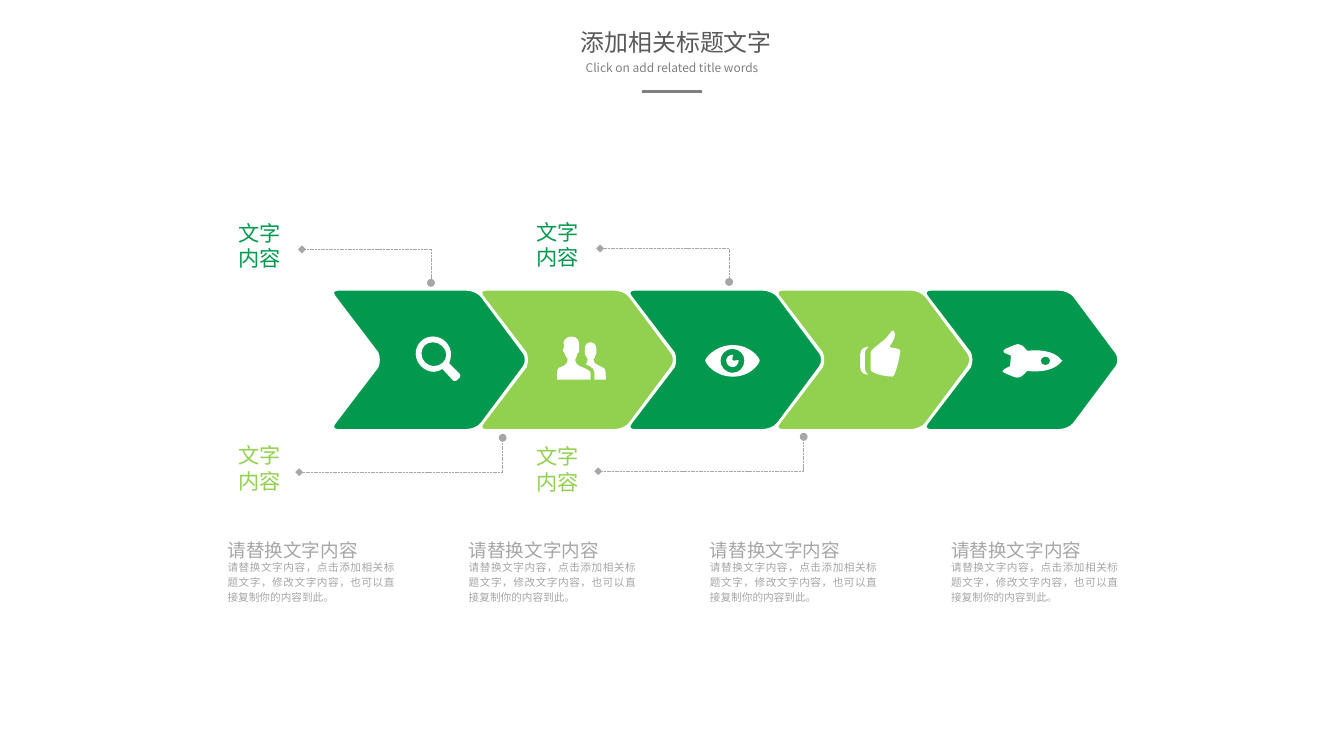
from dataclasses import dataclass

from lxml import etree
from pptx import Presentation
from pptx.dml.color import RGBColor
from pptx.enum.dml import MSO_LINE
from pptx.enum.shapes import MSO_CONNECTOR
from pptx.enum.text import MSO_ANCHOR, PP_ALIGN
from pptx.oxml.ns import qn
from pptx.util import Pt

CENTER, JUSTIFY = PP_ALIGN.CENTER, PP_ALIGN.JUSTIFY
TOP = MSO_ANCHOR.TOP
STRAIGHT = MSO_CONNECTOR.STRAIGHT
DASHED = MSO_LINE.SQUARE_DOT
TITLE_ONLY = 5


@dataclass(frozen=True)
class Theme:
    green: RGBColor = RGBColor(0x02, 0x99, 0x4F)
    lime: RGBColor = RGBColor(0x92, 0xD0, 0x50)
    white: RGBColor = RGBColor(0xFF, 0xFF, 0xFF)
    dark: RGBColor = RGBColor(0x59, 0x59, 0x59)
    gray: RGBColor = RGBColor(0x80, 0x80, 0x80)
    light: RGBColor = RGBColor(0xA6, 0xA6, 0xA6)
    title_font: str = "Noto Sans CJK SC"
    body_font: str = "Arial"
    title_size: float = 18
    subtitle_size: float = 9
    label_size: float = 16
    heading_size: float = 14
    detail_size: float = 8


THEME = Theme()

# Outlines: two numbers are a corner, six are a Bézier curve.
CHEVRON = [[
    (113, 100.8), (110.9, 103.7, 105.8, 105.8, 101.5, 105.8),
    (5, 105.8), (1.4, 105.8, 0, 103.7, 2.2, 100.8),
    (34.6, 58.3), (36, 55.4, 36, 50.4, 34.6, 47.5),
    (2.2, 5), (0, 2.2, 1.4, 0, 5, 0),
    (101.5, 0), (105.8, 0, 110.9, 2.2, 113, 5),
    (144.7, 47.5), (146.9, 50.4, 146.9, 55.4, 144.7, 58.3)]]
MAGNIFIER = [
    [(46, 39), (35, 28), (36, 25, 37, 22, 37, 19), (37, 9, 29, 0, 18, 0),
     (8, 0, 0, 8, 0, 18), (0, 28, 9, 37, 19, 37), (22, 37, 25, 36, 28, 34),
     (39, 46), (40, 47, 42, 47, 43, 46), (46, 43), (47, 42, 47, 40, 46, 39)],
    [(6, 18), (6, 11, 11, 6, 18, 6), (25, 6, 32, 12, 32, 19),
     (32, 26, 26, 31, 19, 31), (12, 31, 6, 25, 6, 18)]]
PEOPLE = [
    [(51, 45), (51, 45, 51, 35, 50, 34), (49, 33, 47, 32, 43, 30),
     (40, 29, 38, 27, 38, 24), (38, 23, 40, 23, 40, 20),
     (40, 19, 41, 20, 41, 17), (41, 12), (41, 11, 40, 6, 35, 6),
     (30, 6, 29, 11, 29, 12), (29, 17), (29, 20, 30, 19, 30, 20),
     (31, 23, 32, 23, 32, 24), (32, 26, 31, 28, 30, 29),
     (38, 33, 39, 34, 39, 37), (39, 45)],
    [(26, 32), (21, 30, 19, 28, 19, 24), (19, 22, 21, 22, 21, 18),
     (22, 16, 23, 18, 23, 14), (23, 8), (23, 6, 22, 0, 15, 0),
     (8, 0, 6, 6, 7, 8), (7, 12), (6, 14), (7, 18, 8, 16, 8, 18),
     (9, 22, 11, 22, 11, 24), (11, 28, 9, 30, 4, 32), (2, 32, 0, 33, 0, 36),
     (0, 45), (35, 45), (35, 38), (35, 36, 31, 34, 26, 32)]]
EYE = [
    [(29, 0), (10, 0, 0, 14, 0, 16), (0, 19, 10, 33, 29, 33),
     (48, 33, 57, 19, 57, 16), (57, 14, 48, 0, 29, 0)],
    [(29, 29), (21, 29, 16, 23, 16, 16), (16, 10, 21, 4, 29, 4),
     (36, 4, 41, 10, 41, 16), (41, 23, 36, 29, 29, 29)],
    [(29, 16), (27, 15, 30, 10, 29, 10), (25, 10, 22, 13, 22, 16),
     (22, 20, 25, 23, 29, 23), (32, 23, 35, 20, 35, 16),
     (35, 15, 30, 17, 29, 16)]]
THUMB = [
    [(31, 19), (30, 18, 40, 9, 35, 2), (33, 0, 29, 10, 22, 14),
     (19, 17, 11, 22, 11, 25), (11, 43), (11, 46, 24, 50, 34, 50),
     (37, 50, 42, 27, 42, 23), (42, 20, 31, 20, 31, 19)],
    [(8, 19), (6, 19, 0, 20, 0, 27), (0, 40), (0, 47, 6, 48, 8, 48),
     (10, 48, 5, 47, 5, 42), (5, 25), (5, 21, 10, 19, 8, 19)]]
ROCKET = [
    [(26, 31), (26, 31, 51, 35, 62, 21), (63, 20), (62, 20),
     (52, 6, 26, 10, 26, 10), (18, 0, 17, 2, 3, 8), (0, 9, 1, 11, 2, 12),
     (4, 13, 9, 15, 9, 15), (8, 26), (8, 26, 4, 28, 2, 29),
     (0, 30, -1, 32, 2, 33), (16, 39, 17, 41, 26, 31)],
    [(40, 20), (40, 18, 43, 16, 45, 16), (48, 16, 50, 18, 50, 20),
     (50, 23, 48, 25, 45, 25), (42, 25, 40, 23, 40, 20)]]
ICON_SCALE = 0.72
# Each icon with its offset from the top left of its chevron.
STEPS = [(MAGNIFIER, 63.4, 35.3), (PEOPLE, 58.3, 35.3), (EYE, 58.3, 41.8),
         (THUMB, 63.4, 29.5), (ROCKET, 59, 38.9)]


def bend_segments(shape, contours):
    """Merge the three lines through each curve's control points into one curve."""
    outline = next(shape._element.iter(qn("a:path")))
    nodes = iter(list(outline))
    for contour in contours:
        for segment in contour:
            first, *others = [next(nodes) for _ in range(len(segment) // 2)]
            if others:
                first.tag = qn("a:cubicBezTo")
            for other in others:
                first.append(other[0])
                outline.remove(other)
        next(nodes)  # the closing node


def add_outline(slide, contours, left, top, color, scale=1.0):
    builder = None
    for contour in contours:
        points = [(Pt(left + segment[i] * scale), Pt(top + segment[i + 1] * scale))
                  for segment in contour for i in range(0, len(segment), 2)]
        if builder is None:
            builder = slide.shapes.build_freeform(*points[0])
        else:
            builder.move_to(*points[0])
        builder.add_line_segments(points[1:], close=True)
    shape = builder.convert_to_shape()
    bend_segments(shape, contours)
    shape.shadow.inherit = False
    shape.fill.solid()
    shape.fill.fore_color.rgb = color
    shape.line.fill.background()
    return shape


def add_line(slide, start, end, color, width):
    line = slide.shapes.add_connector(STRAIGHT, *(Pt(value) for value in start + end))
    line.line.color.rgb = color
    line.line.width = Pt(width)
    etree.SubElement(line._element.spPr, qn("a:effectLst"))
    return line


def write_text(shape, text, size, color, font, align, inset=(0, 0), spacing=None):
    frame = shape.text_frame
    frame.word_wrap = True
    frame.vertical_anchor = TOP
    frame.margin_left = frame.margin_right = Pt(inset[0])
    frame.margin_top = frame.margin_bottom = Pt(inset[1])
    frame.text = text
    paragraph = frame.paragraphs[0]
    paragraph.alignment = align
    paragraph.line_spacing = spacing
    paragraph.font.name = font
    paragraph.font.size = Pt(size)
    paragraph.font.color.rgb = color


def add_text(slide, box, *style, **layout):
    shape = slide.shapes.add_textbox(*(Pt(value) for value in box))
    write_text(shape, *style, **layout)


def add_header(slide, left, top):
    title = slide.shapes.title
    title.left, title.top, title.width, title.height = Pt(left), Pt(top), Pt(176.4), Pt(28.8)
    inset = (5.3, 2.7)
    write_text(title, "添加相关标题文字", THEME.title_size, THEME.dark,
               THEME.title_font, CENTER, inset=inset)
    add_text(slide, (left, top + 25.2, 170, 16.6), "Click on add related title words",
             THEME.subtitle_size, THEME.gray, THEME.title_font, CENTER, inset=inset)
    add_line(slide, (left + 62.6, top + 51.1), (left + 108, top + 51.1), THEME.gray, 2.25)


def add_process(slide, left, top, pitch=111.6):
    for index, (icon, x, y) in enumerate(STEPS):
        step_left = left + index * pitch
        color = THEME.lime if index % 2 else THEME.green
        chevron = add_outline(slide, CHEVRON, step_left, top, color)
        chevron.line.color.rgb = THEME.white
        chevron.line.width = Pt(1.5)
        add_outline(slide, icon, step_left + x, top + y, THEME.white, ICON_SCALE)


def add_callout(slide, left, top, color, diamond, dot):
    """Place a label and its bent leader; diamond and dot are offsets from the label."""
    add_text(slide, (left, top, 39.6, 38.9), "文字内容", THEME.label_size, color,
             THEME.body_font, CENTER)
    elbow = (left + dot[0], top + diamond[1])
    for (x, y), marker in ((dot, "oval"), (diamond, "diamond")):
        leader = add_line(slide, elbow, (left + x, top + y), THEME.light, 0.5)
        leader.line.dash_style = DASHED
        etree.SubElement(leader.line._ln, qn("a:tailEnd"), type=marker)


def add_caption(slide, left, top):
    style = (THEME.light, THEME.body_font, JUSTIFY)
    add_text(slide, (left, top, 101.5, 20.2), "请替换文字内容",
             THEME.heading_size, *style, spacing=1.2)
    add_text(slide, (left, top + 18, 126, 34.6),
             "请替换文字内容，点击添加相关标题文字，修改文字内容，也可以直接复制你的内容到此。",
             THEME.detail_size, *style, spacing=1.2)


def main():
    presentation = Presentation()
    presentation.slide_width, presentation.slide_height = Pt(1012.5), Pt(569.5)
    slide = presentation.slides.add_slide(presentation.slide_layouts[TITLE_ONLY])
    add_header(slide, 421.2, 18)
    add_process(slide, 249.8, 218.2)
    add_callout(slide, 175.7, 165.6, THEME.green, (51.8, 22.3), (149, 47.5))
    add_callout(slide, 400.3, 164.9, THEME.green, (51.8, 22.3), (149, 47.5))
    add_callout(slide, 175.7, 333.4, THEME.lime, (49.7, 22.3), (203, -3.6))
    add_callout(slide, 400.3, 334.1, THEME.lime, (50.4, 20.9), (205.2, -5))
    for column in range(4):
        add_caption(slide, 171.4 + column * 181.7, 402.5)
    presentation.save("out.pptx")


if __name__ == "__main__":
    main()
